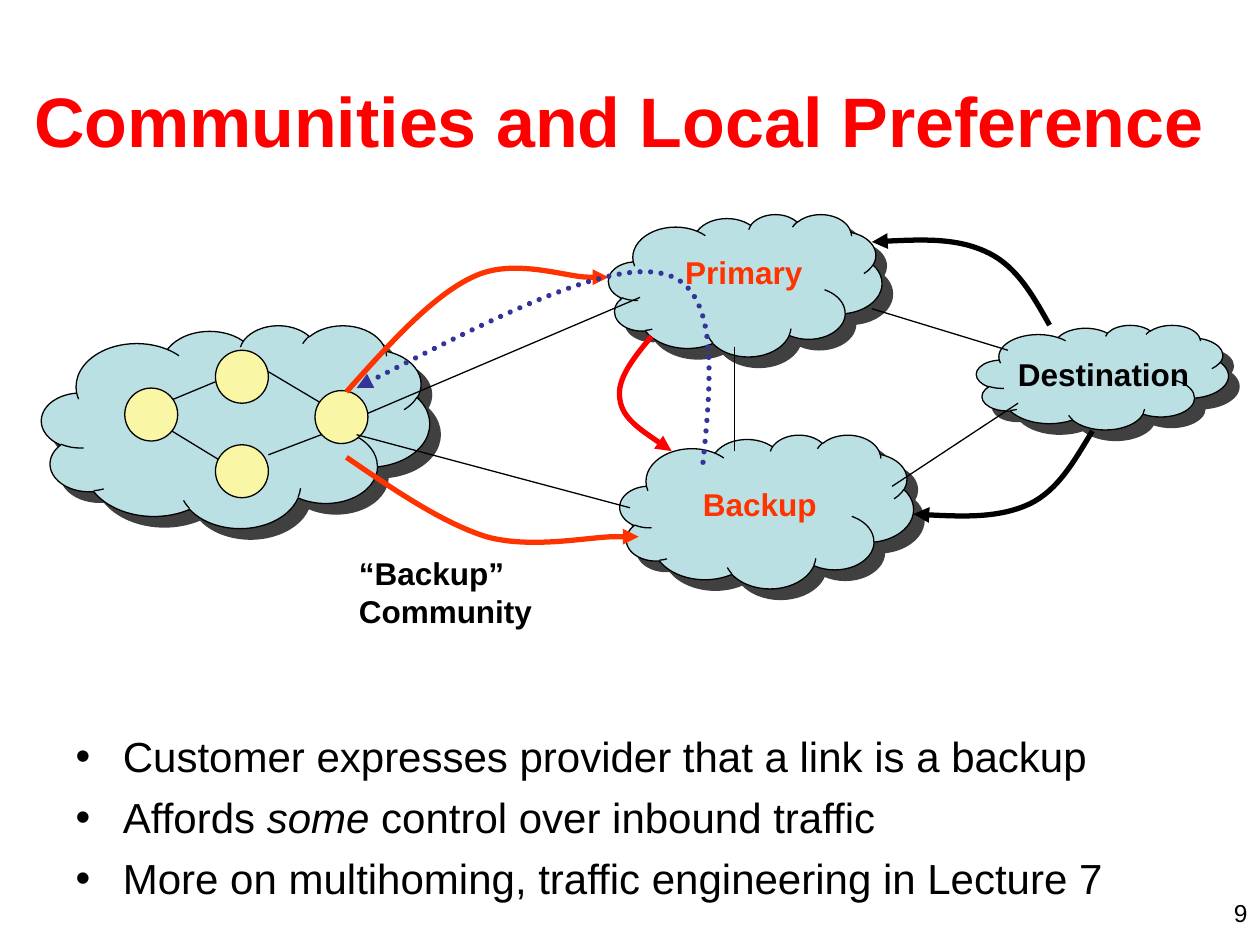
from lxml.etree import SubElement as Sub
from pptx import Presentation
from pptx.dml.color import RGBColor
from pptx.enum.dml import MSO_LINE as Dash
from pptx.enum.shapes import MSO_CONNECTOR as Conn, MSO_SHAPE as Kind
from pptx.enum.text import MSO_ANCHOR as Anchor, PP_ALIGN as Align
from pptx.oxml.ns import qn
from pptx.util import Inches, Pt

BLACK = RGBColor(0x00, 0x00, 0x00)
RED = RGBColor(0xFF, 0x00, 0x00)
ORANGE = RGBColor(0xFF, 0x33, 0x00)
NAVY = RGBColor(0x33, 0x33, 0x99)
TEAL = RGBColor(0xBB, 0xE0, 0xE3)
CREAM = RGBColor(0xF9, 0xF7, 0xA5)
FONT = "Arial"


def style(para, size, color, bold=False):
    """Format every run of a paragraph."""
    for run in para.runs:
        font = run.font
        font.name, font.size, font.bold = FONT, Pt(size), bold
        font.color.rgb = color


def place(shape, *box):
    """Move and size a shape in inches."""
    shape.left, shape.top, shape.width, shape.height = map(Inches, box)


def add_title(slide, text):
    """Fill the title placeholder."""
    title = slide.shapes.title
    place(title, 0.17, 0.32, 9.58, 1.25)
    frame = title.text_frame
    frame.text = text
    frame.vertical_anchor = Anchor.MIDDLE
    frame.paragraphs[0].alignment = Align.LEFT
    style(frame.paragraphs[0], 40, RED, True)


def add_list(slide, items):
    """Fill the body placeholder, with odd parts of an item in italics."""
    body = slide.placeholders[1]
    place(body, 0.5, 5.75, 9, 1.58)
    frame = body.text_frame
    frame.text = "\n".join("" for _ in items)
    for para, parts in zip(frame.paragraphs, items):
        for pos, part in enumerate(parts):
            run = para.add_run()
            run.text = part
            run.font.italic = pos % 2 == 1
        para.space_before = Pt(6)
        style(para, 24, BLACK)


def add_label(slide, text, box, color=BLACK, wrap=False, size=18, bold=True):
    """Add a text box and return its paragraph."""
    frame = slide.shapes.add_textbox(*map(Inches, box)).text_frame
    frame.word_wrap = wrap
    frame.text = text
    para = frame.paragraphs[0]
    style(para, size, color, bold)
    return para


def add_shape(shapes, kind, box, fill):
    """Add a filled preset shape with a thin black outline."""
    shape = shapes.add_shape(kind, *map(Inches, box))
    shape.shadow.inherit = False
    shape.fill.solid()
    shape.fill.fore_color.rgb = fill
    shape.line.color.rgb = BLACK
    shape.line.width = Pt(0.75)
    return shape


def add_cloud(slide, *box):
    """Add a cloud with a hard shadow to the lower right."""
    cloud = add_shape(slide.shapes, Kind.CLOUD, box, TEAL)
    effect = cloud.element.spPr.find(qn("a:effectLst"))
    shade = Sub(effect, qn("a:outerShdw"), dist=str(Pt(8.5)),
                dir="2700000", algn="ctr", rotWithShape="0")
    color = Sub(shade, qn("a:srgbClr"), val="000000")
    Sub(color, qn("a:alpha"), val="75000")


def add_link(shapes, *ends):
    """Add a thin straight line."""
    link = shapes.add_connector(Conn.STRAIGHT, *map(Inches, ends))
    link.line.color.rgb = BLACK
    link.line.width = Pt(0.75)
    Sub(link.element.spPr, qn("a:effectLst"))


def add_curve(slide, points, color, end="tailEnd", dots=False):
    """Add a Bezier arrow through a start point and control triples."""
    spots = [(Inches(x), Inches(y)) for x, y in points]
    pen = slide.shapes.build_freeform(*spots[0])
    pen.add_line_segments(spots[1:], close=False)
    curve = pen.convert_to_shape()
    curve.shadow.inherit = False
    curve.fill.background()
    curve.line.color.rgb = color
    curve.line.width = Pt(3)
    ln = curve.line._get_or_add_ln()
    if dots:
        curve.line.dash_style = Dash.ROUND_DOT
        ln.set("cap", "rnd")
    Sub(ln, qn("a:round"))
    Sub(ln, qn(f"a:{end}"), type="triangle")
    steps = list(curve.element.iter(qn("a:lnTo")))
    route = steps[0].getparent()
    for pos in range(0, len(steps), 3):
        bend = Sub(route, qn("a:cubicBezTo"))
        for step in steps[pos:pos + 3]:
            bend.append(step[0])
            route.remove(step)


def add_net(slide):
    """Add the group of customer routers and their links."""
    shapes = slide.shapes.add_group_shape().shapes
    spots = [(1.71, 2.78), (1.71, 3.53), (2.5, 3.1), (0.99, 3.08)]
    links = [(1.3, 3.2, 1.71, 3.03), (2.13, 3.61, 2.55, 3.45),
             (1.33, 3.4, 1.74, 3.65), (2.13, 2.95, 2.55, 3.2)]
    for ends in links:
        add_link(shapes, *ends)
    for x, y in spots:
        add_shape(shapes, Kind.OVAL, (x, y, 0.42, 0.42), CREAM)


def main():
    """Build the slide and save it."""
    deck = Presentation()
    deck.slide_width, deck.slide_height = Inches(10), Inches(7.5)
    slide = deck.slides.add_slide(deck.slide_layouts[1])

    page = add_label(slide, "9", (7.67, 7.08, 2.33, 0.25), wrap=True,
                     size=14, bold=False)
    page.alignment = Align.RIGHT
    add_title(slide, "Communities and Local Preference")
    add_list(slide, [
        ["Customer expresses provider that a link is a backup"],
        ["Affords ", "some", " control over inbound traffic"],
        ["More on multihoming, traffic engineering in Lecture 7"],
    ])

    add_cloud(slide, 0.33, 2.58, 3.08, 1.61)
    add_cloud(slide, 4.83, 1.7, 2.17, 1.13)
    add_cloud(slide, 4.92, 3.45, 2.33, 1.22)
    add_label(slide, "Primary", (5.34, 1.96, 1.13, 0.4), ORANGE)
    add_label(slide, "Backup", (5.48, 3.8, 1.1, 0.4), ORANGE)
    add_net(slide)
    add_cloud(slide, 7.75, 2.58, 2, 0.83)

    for ends in [(2.92, 3.28, 5.08, 2.36), (2.83, 3.45, 5, 4.03),
                 (6.92, 2.45, 8, 2.78), (7.08, 3.86, 8.08, 3.2),
                 (5.83, 2.75, 5.83, 3.58)]:
        add_link(slide.shapes, *ends)

    add_curve(slide, [(4.83, 2.2), (4.84, 2.2), (4.85, 2.2), (4.67, 2.2),
                      (4.49, 2.2), (4.07, 2.04), (3.75, 2.2),
                      (3.43, 2.35), (3.09, 2.73), (2.75, 3.11)],
              ORANGE, "headEnd")
    add_curve(slide, [(5.07, 4.26), (5.08, 4.26), (5.08, 4.26), (4.88, 4.26),
                      (4.68, 4.26), (4.22, 4.36), (3.86, 4.26),
                      (3.51, 4.15), (3.13, 3.89), (2.75, 3.63)],
              ORANGE, "headEnd")
    note = add_label(slide, "“Backup” Community", (2.75, 4.35, 2.5, 0.7),
                     wrap=True)
    note.space_before = Pt(11.2)
    add_label(slide, "Destination", (7.98, 2.77, 1.56, 0.4))
    add_curve(slide, [(8.33, 2.58), (8.2, 2.35), (8.07, 2.11), (7.83, 2),
                      (7.6, 1.89), (7.26, 1.9), (6.92, 1.92)], BLACK)
    add_curve(slide, [(8.67, 3.42), (8.53, 3.65), (8.4, 3.89), (8.17, 4),
                      (7.93, 4.11), (7.59, 4.1), (7.25, 4.08)], BLACK)
    add_curve(slide, [(5.17, 2.67), (5.03, 2.84), (4.89, 3.01), (4.92, 3.17),
                      (4.94, 3.32), (5.14, 3.45), (5.33, 3.58)], RED)
    add_curve(slide, [(5.58, 3.67), (5.65, 2.97), (5.71, 2.26), (5.25, 2.17),
                      (4.79, 2.07), (3.81, 2.58), (2.83, 3.08)],
              NAVY, dots=True)
    deck.save("out.pptx")


if __name__ == "__main__":
    main()
